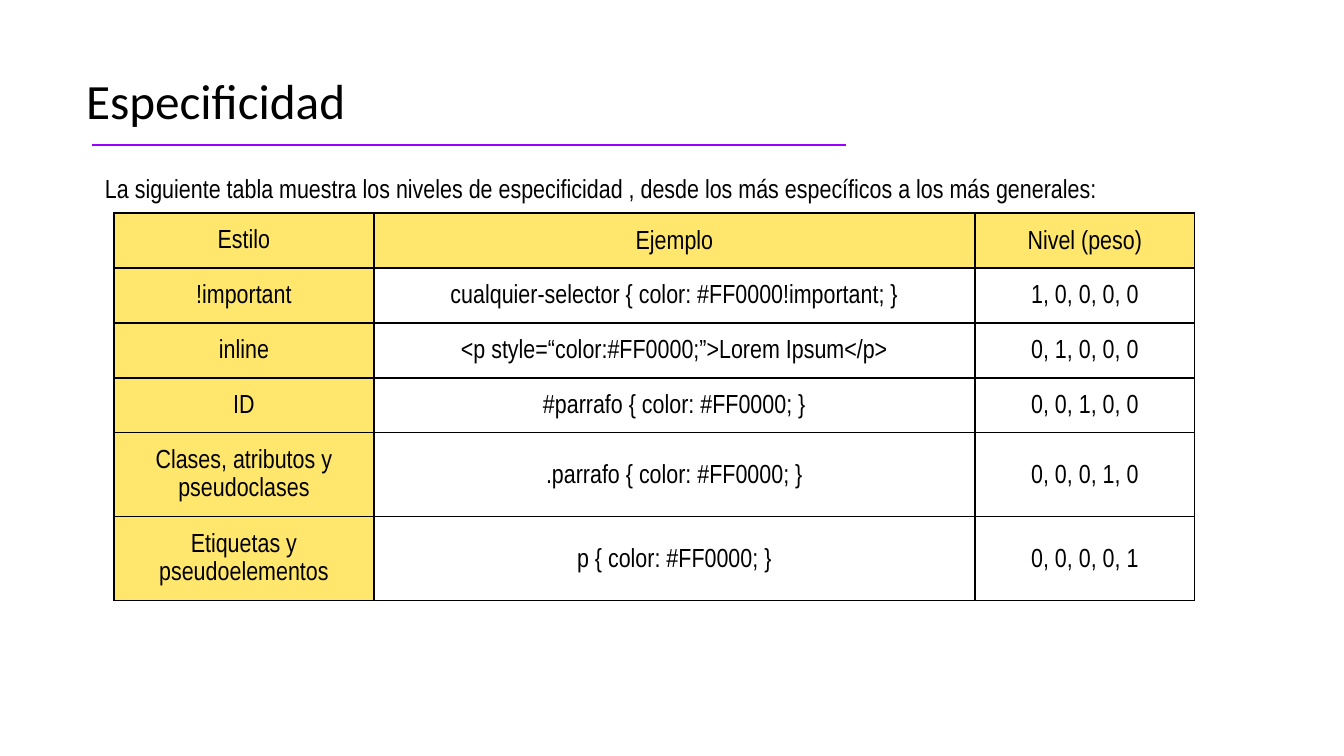
from lxml.etree import SubElement
from pptx import Presentation
from pptx.dml.color import RGBColor
from pptx.enum.shapes import MSO_CONNECTOR
from pptx.enum.text import MSO_ANCHOR, MSO_AUTO_SIZE, PP_ALIGN
from pptx.oxml.ns import qn
from pptx.util import Pt

SCALE = 914400 / 134.4
INK = "000000"
GOLD = "FFE66D"
VIOLET = "9900FF"
PAD = 13
SIDES = ("left", "right", "top", "bottom")
COLS = (260, 601, 220)
ROWS = (
    (55, "Estilo", "Ejemplo", "Nivel (peso)"),
    (55, "!important", "cualquier-selector { color: #FF0000!important; }", "1, 0, 0, 0, 0"),
    (55, "inline", "<p style=“color:#FF0000;”>Lorem Ipsum</p>", "0, 1, 0, 0, 0"),
    (55, "ID", "#parrafo { color: #FF0000; }", "0, 0, 1, 0, 0"),
    (84, "Clases, atributos y pseudoclases", ".parrafo { color: #FF0000; }", "0, 0, 0, 1, 0"),
    (84, "Etiquetas y pseudoelementos", "p { color: #FF0000; }", "0, 0, 0, 0, 1"),
)


def px(num):
    """Turn pixels into EMU."""
    return round(num * SCALE)


def tint(code):
    """Turn a hex string into a colour."""
    return RGBColor.from_string(code)


def put(item, form):
    """Set each named attribute on an item."""
    for name, value in form.items():
        setattr(item, name, value)


def pads():
    """Give the four equal text margins."""
    return {f"margin_{side}": px(PAD) for side in SIDES}


def place(shape, left, top, width, height):
    """Move and size a shape."""
    put(shape, {"left": px(left), "top": px(top), "width": px(width), "height": px(height)})


def write(para, text, size, face, bold=False):
    """Add a run of black text to a paragraph."""
    run = para.add_run()
    run.text = text
    put(run.font, {"size": Pt(size), "name": face, "bold": bold})
    run.font.color.rgb = tint(INK)


def frame(shape):
    """Prepare the text frame of a shape."""
    text = shape.text_frame
    put(text, {"word_wrap": True, "auto_size": MSO_AUTO_SIZE.NONE,
               "vertical_anchor": MSO_ANCHOR.TOP, **pads()})
    return text.paragraphs[0]


def head(slide):
    """Fill the title placeholder."""
    title = slide.shapes.title
    place(title, 73, 62, 1250, 85)
    para = frame(title)
    put(para, {"alignment": PP_ALIGN.LEFT, "line_spacing": 0.8, "space_before": Pt(0)})
    write(para, "Especificidad", 26.4, "Calibri")
    write(para, " ", 31, "Montserrat", True)


def intro(slide):
    """Add the sentence above the table."""
    box = slide.shapes.add_textbox(px(92), px(155), px(1188), px(93))
    para = frame(box)
    put(para, {"line_spacing": 1.15, "space_after": Pt(12)})
    write(para, "La siguiente tabla muestra los niveles de especificidad , "
                "desde los más específicos a los más generales:", 14, "Arial Narrow")


def border(cell):
    """Draw thin black lines round a cell."""
    props = cell._tc.get_or_add_tcPr()
    for side in ("L", "R", "T", "B"):
        line = SubElement(props, qn(f"a:ln{side}"), w=str(Pt(0.75)))
        fill = SubElement(line, qn("a:solidFill"))
        SubElement(fill, qn("a:srgbClr"), val=INK)


def fill_cell(cell, text, gold, anchor):
    """Write and format one cell."""
    put(cell, {"vertical_anchor": anchor, **pads()})
    border(cell)
    if gold:
        cell.fill.solid()
        cell.fill.fore_color.rgb = tint(GOLD)
    else:
        cell.fill.background()
    para = cell.text_frame.paragraphs[0]
    put(para, {"alignment": PP_ALIGN.CENTER, "line_spacing": 1.15})
    write(para, text, 14, "Arial Narrow")


def grid(slide):
    """Add the table of levels."""
    high = sum(row[0] for row in ROWS)
    table = slide.shapes.add_table(len(ROWS), len(COLS), px(114), px(213),
                                   px(sum(COLS)), px(high)).table
    put(table, {"first_row": False, "horz_banding": False})
    for col, width in zip(table.columns, COLS):
        col.width = px(width)
    for i, (height, *texts) in enumerate(ROWS):
        table.rows[i].height = px(height)
        for j, text in enumerate(texts):
            anchor = MSO_ANCHOR.MIDDLE if j else MSO_ANCHOR.TOP
            fill_cell(table.cell(i, j), text, i == 0 or j == 0, anchor)


def rule(slide):
    """Add the violet line under the title."""
    line = slide.shapes.add_connector(MSO_CONNECTOR.STRAIGHT, px(92), px(145), px(846), px(145))
    line.line.color.rgb = tint(VIOLET)
    line.line.width = Pt(0.75)
    SubElement(line._element.spPr, qn("a:effectLst"))


def main():
    """Build and save the slide."""
    deck = Presentation()
    put(deck, {"slide_width": px(1344), "slide_height": px(756)})
    slide = deck.slides.add_slide(deck.slide_layouts[5])
    for part in (head, intro, grid, rule):
        part(slide)
    deck.save("out.pptx")


if __name__ == "__main__":
    main()
